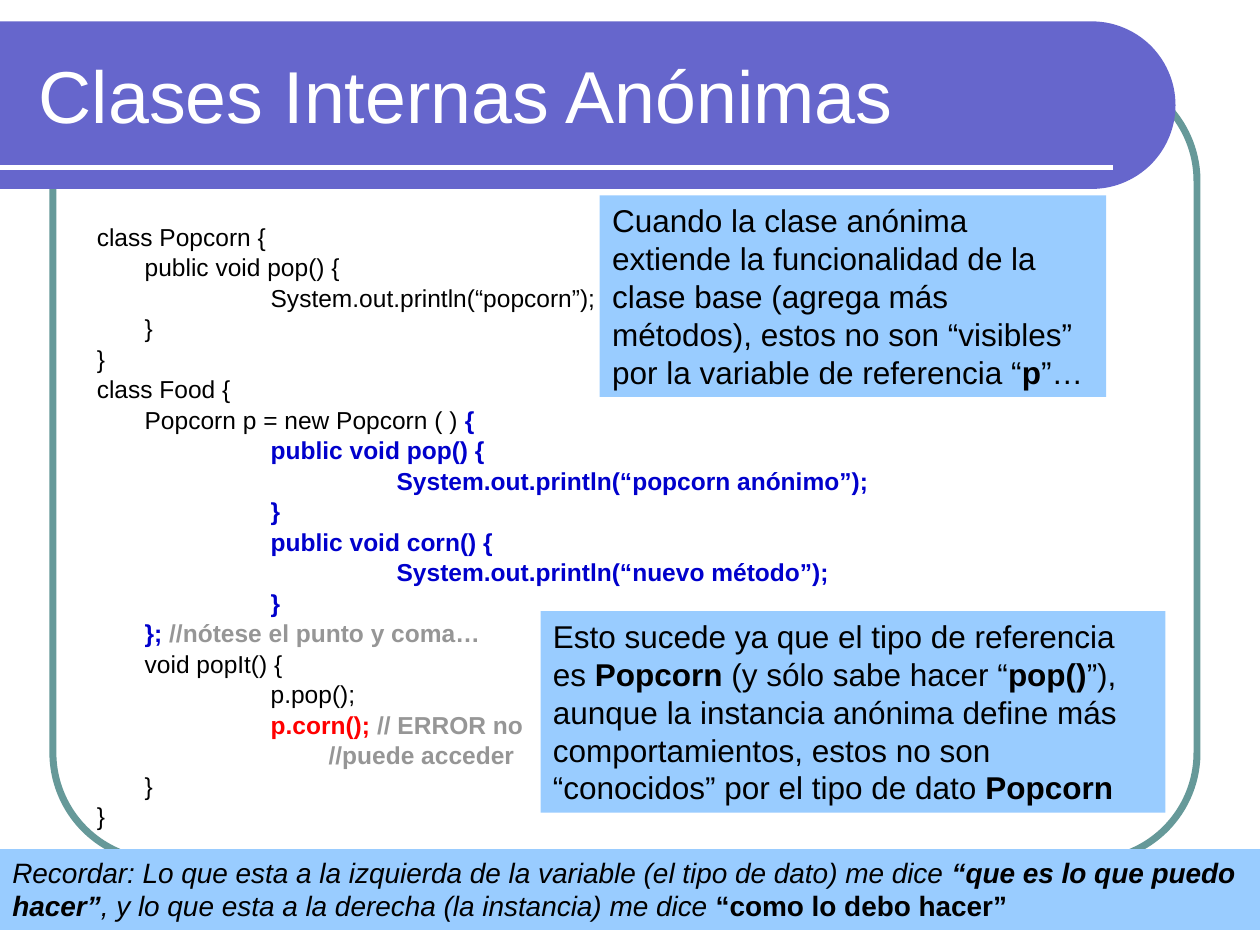
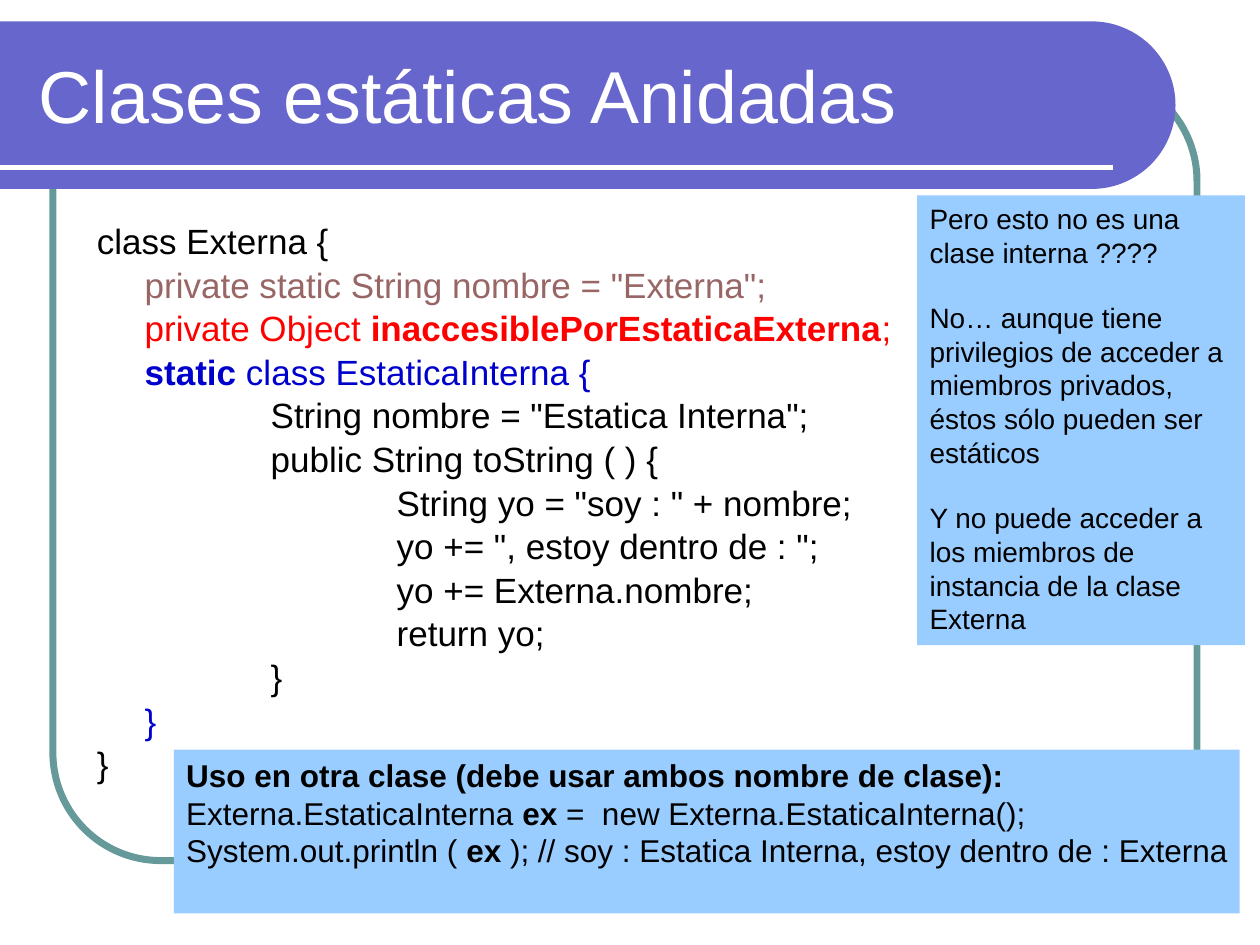
import dataclasses
import math

import pptx
import pptx.dml.color
import pptx.enum.shapes
import pptx.enum.text
import pptx.oxml
import pptx.util
from pptx.util import Inches


@dataclasses.dataclass(frozen=True)
class Theme:
    font: str = "Arial"
    band: str = "6666CC"
    frame: str = "669999"
    note: str = "99CCFF"
    white: str = "FFFFFF"
    text: str = "000000"
    keyword: str = "0000CC"
    error: str = "FF0000"
    comment: str = "969696"
    private: str = "996666"
    title_size: int = 42
    large_code_size: int = 20
    note_size: int = 18
    small_note_size: int = 16
    code_size: int = 14


THEME = Theme()
BOLD = {"bold": True}
ITALIC = {"italic": True}
BOLD_ITALIC = {**BOLD, **ITALIC}
KEYWORD = {"color": THEME.keyword}
BOLD_KEYWORD = {**KEYWORD, **BOLD}
ERROR = {"color": THEME.error}
BOLD_ERROR = {**ERROR, **BOLD}
BOLD_COMMENT = {"color": THEME.comment, **BOLD}
PRIVATE = {"color": THEME.private}

BODY_BOX = (0.67, 1.75, 8.67, 4.83)
# Left indent in inches of each nesting level of the code
CODE_INDENTS = (0, 0.38, 1.38, 2.38)
COMMENT_INDENT = 1.84

# A line of code is its indent followed by its (text, style) runs.
LEVEL_0, LEVEL_1, LEVEL_2, LEVEL_3 = CODE_INDENTS
ANONYMOUS_CODE = [
    (LEVEL_0, ("class Popcorn {", {})),
    (LEVEL_1, ("public void pop() {", {})),
    (LEVEL_2, ("System.out.println(“popcorn”);", {})),
    (LEVEL_1, ("}", {})),
    (LEVEL_0, ("}", {})),
    (LEVEL_0, ("class Food {", {})),
    (LEVEL_1, ("Popcorn p = new Popcorn ( )", {}), (" {", BOLD_KEYWORD)),
    (LEVEL_2, ("public void pop() {", BOLD_KEYWORD)),
    (LEVEL_3, ("System.out.println(“popcorn anónimo”);", BOLD_KEYWORD)),
    (LEVEL_2, ("}", BOLD_KEYWORD)),
    (LEVEL_2, ("public void corn() {", BOLD_KEYWORD)),
    (LEVEL_3, ("System.out.println(“nuevo método”);", BOLD_KEYWORD)),
    (LEVEL_2, ("}", BOLD_KEYWORD)),
    (LEVEL_1, ("}; ", BOLD_KEYWORD), ("//nótese el punto y coma…", BOLD_COMMENT)),
    (LEVEL_1, ("void popIt() {", {})),
    (LEVEL_2, ("p.pop();", {})),
    (LEVEL_2, ("p.corn(); ", BOLD_ERROR), ("// ERROR no", BOLD_COMMENT)),
    (COMMENT_INDENT, ("//puede acceder", BOLD_COMMENT)),
    (LEVEL_1, ("}", {})),
    (LEVEL_0, ("}", {})),
]
STATIC_CODE = [
    (LEVEL_0, ("class Externa {", {})),
    (LEVEL_1, ('private static String nombre = "Externa";', PRIVATE)),
    (LEVEL_1, ("private Object ", ERROR),
     ("inaccesiblePorEstaticaExterna", BOLD_ERROR), (";", ERROR)),
    (LEVEL_1, ("static", BOLD_KEYWORD), (" class EstaticaInterna {", KEYWORD)),
    (LEVEL_2, ('String nombre = "Estatica Interna";', {})),
    (LEVEL_2, ("public String toString ( ) {", {})),
    (LEVEL_3, ('String yo = "soy : " + nombre;', {})),
    (LEVEL_3, ('yo += ", estoy dentro de : ";', {})),
    (LEVEL_3, ("yo += Externa.nombre;", {})),
    (LEVEL_3, ("return yo;", {})),
    (LEVEL_2, ("}", {})),
    (LEVEL_1, ("}", KEYWORD)),
    (LEVEL_0, ("}", {})),
]

# A note is a list of paragraphs, each a list of (text, style) runs.
VISIBILITY_NOTE = [[
    ("Cuando la clase anónima extiende la funcionalidad de la clase base (agrega más "
     "métodos), estos no son “visibles” por la variable de referencia “", {}),
    ("p", BOLD), ("”…", {}),
]]
REFERENCE_NOTE = [[
    ("Esto sucede ya que el tipo de referencia es ", {}),
    ("Popcorn", BOLD), (" (y sólo sabe hacer “", {}), ("pop()", BOLD),
    ("”), aunque la instancia anónima define más comportamientos, estos no son "
     "“conocidos” por el tipo de dato ", {}),
    ("Popcorn", BOLD),
]]
REMINDER_NOTE = [[
    ("Recordar: Lo que esta a la izquierda de la variable (el tipo de dato) me dice ",
     ITALIC),
    ("“que es lo que puedo hacer”", BOLD_ITALIC),
    (", y lo que esta a la derecha (la instancia) me dice ", ITALIC),
    ("“como lo debo hacer”", BOLD),
]]
USAGE_NOTE = [
    [("Uso en otra clase (debe usar ambos nombre de clase):", BOLD)],
    [("Externa.EstaticaInterna ", {}), ("ex", BOLD),
     (" =  new Externa.EstaticaInterna();", {})],
    [("System.out.println ( ", {}), ("ex", BOLD),
     (" ); // soy : Estatica Interna, estoy dentro de : Externa", {})],
]
PRIVILEGE_NOTE = [
    [("Pero esto no es una clase interna ????", {})],
    [("No… aunque tiene privilegios de acceder a miembros privados, éstos sólo "
      "pueden ser estáticos", {})],
    [("Y no puede acceder a los miembros de instancia de la clase Externa", {})],
]


def rgb(color):
    return pptx.dml.color.RGBColor.from_string(color)


def inches(*lengths):
    return [Inches(length) for length in lengths]


def add_text(paragraph, text, size, color=THEME.text, bold=False, italic=False):
    run = paragraph.add_run()
    run.text = text
    run.font.name = THEME.font
    run.font.size = pptx.util.Pt(size)
    run.font.color.rgb = rgb(color)
    run.font.bold = bold
    run.font.italic = italic


def add_paragraphs(text_frame, paragraphs, size, space_before=0):
    """Write lists of runs as paragraphs and return the paragraphs."""
    for index, runs in enumerate(paragraphs):
        paragraph = text_frame.add_paragraph() if index else text_frame.paragraphs[0]
        paragraph.alignment = pptx.enum.text.PP_ALIGN.LEFT
        paragraph.space_before = pptx.util.Pt(space_before if index else 0)
        for text, style in runs:
            add_text(paragraph, text, size, **style)
    return text_frame.paragraphs


def add_frame(slide, box):
    frame = slide.shapes.add_shape(
        pptx.enum.shapes.MSO_SHAPE.ROUNDED_RECTANGLE, *inches(*box))
    frame.adjustments[0] = 0.137
    frame.shadow.inherit = False
    frame.fill.background()
    frame.line.color.rgb = rgb(THEME.frame)
    frame.line.width = pptx.util.Pt(4)


def add_band(slide, box):
    """Draw the title band, whose right end is a half circle, and its rule."""
    left, top, width, height = box
    radius = height / 2
    center_x, center_y = left + width - radius, top + radius
    angles = [math.radians(degrees) for degrees in range(-90, 91, 3)]
    outline = [(center_x + radius * math.cos(angle), center_y + radius * math.sin(angle))
               for angle in angles] + [(left, top + height)]
    builder = slide.shapes.build_freeform(Inches(left), Inches(top))
    builder.add_line_segments([inches(*point) for point in outline], close=True)
    band = builder.convert_to_shape()
    band.shadow.inherit = False
    band.fill.solid()
    band.fill.fore_color.rgb = rgb(THEME.band)
    band.line.fill.background()

    rule_y = top + height - 0.17
    rule = slide.shapes.add_connector(
        pptx.enum.shapes.MSO_CONNECTOR.STRAIGHT,
        *inches(left, rule_y, left + width - 0.5, rule_y))
    rule.line.color.rgb = rgb(THEME.white)
    rule.line.width = pptx.util.Pt(3)
    properties = rule.element.spPr
    properties.append(properties.makeelement(pptx.oxml.ns.qn("a:effectLst"), {}))


def add_title(slide, title, box):
    text_frame = slide.shapes.add_textbox(*inches(*box)).text_frame
    text_frame.word_wrap = True
    text_frame.vertical_anchor = pptx.enum.text.MSO_ANCHOR.MIDDLE
    add_paragraphs(text_frame, [[(title, {"color": THEME.white})]], THEME.title_size)


def add_code(slide, lines, box, size):
    text_frame = slide.shapes.add_textbox(*inches(*box)).text_frame
    text_frame.word_wrap = True
    paragraphs = add_paragraphs(
        text_frame, [runs for _, *runs in lines], size, space_before=size / 4)
    for paragraph, (indent, *_) in zip(paragraphs, lines):
        paragraph.line_spacing = 0.83
        paragraph._p.get_or_add_pPr().set("marL", str(Inches(indent)))


def add_note(slide, paragraphs, box, size=THEME.note_size, space_before=0, wrap=True):
    note = slide.shapes.add_shape(
        pptx.enum.shapes.MSO_SHAPE.RECTANGLE, *inches(*box))
    note.shadow.inherit = False
    note.fill.solid()
    note.fill.fore_color.rgb = rgb(THEME.note)
    note.line.fill.background()
    note.text_frame.word_wrap = wrap
    note.text_frame.vertical_anchor = pptx.enum.text.MSO_ANCHOR.TOP
    add_paragraphs(note.text_frame, paragraphs, size, space_before)


def add_code_slide(presentation, title, code, code_size):
    slide = presentation.slides.add_slide(presentation.slide_layouts[6])
    add_frame(slide, (0.42, 0.58, 9.08, 6.25))
    add_band(slide, (0, 0.17, 9.33, 1.33))
    add_title(slide, title, (0.21, 0.25, 8.77, 1))
    add_code(slide, code, BODY_BOX, code_size)
    return slide


def add_anonymous_classes_slide(presentation):
    slide = add_code_slide(
        presentation, "Clases Internas Anónimas", ANONYMOUS_CODE, THEME.code_size)
    add_note(slide, VISIBILITY_NOTE, (4.76, 1.55, 4.02, 1.6))
    add_note(slide, REFERENCE_NOTE, (4.29, 4.85, 4.96, 1.6))
    add_note(slide, REMINDER_NOTE, (0, 6.74, 10, 0.64), THEME.small_note_size)


def add_static_classes_slide(presentation):
    slide = add_code_slide(
        presentation, "Clases estáticas Anidadas", STATIC_CODE, THEME.large_code_size)
    add_note(slide, USAGE_NOTE, (1.38, 5.95, 8.46, 1.3), wrap=False)
    add_note(slide, PRIVILEGE_NOTE, (7.28, 1.55, 2.6, 3.57), THEME.small_note_size,
             space_before=18.4)


def main():
    presentation = pptx.Presentation()
    presentation.slide_width, presentation.slide_height = inches(10, 7.5)
    add_anonymous_classes_slide(presentation)
    add_static_classes_slide(presentation)
    presentation.save("out.pptx")


if __name__ == "__main__":
    main()
